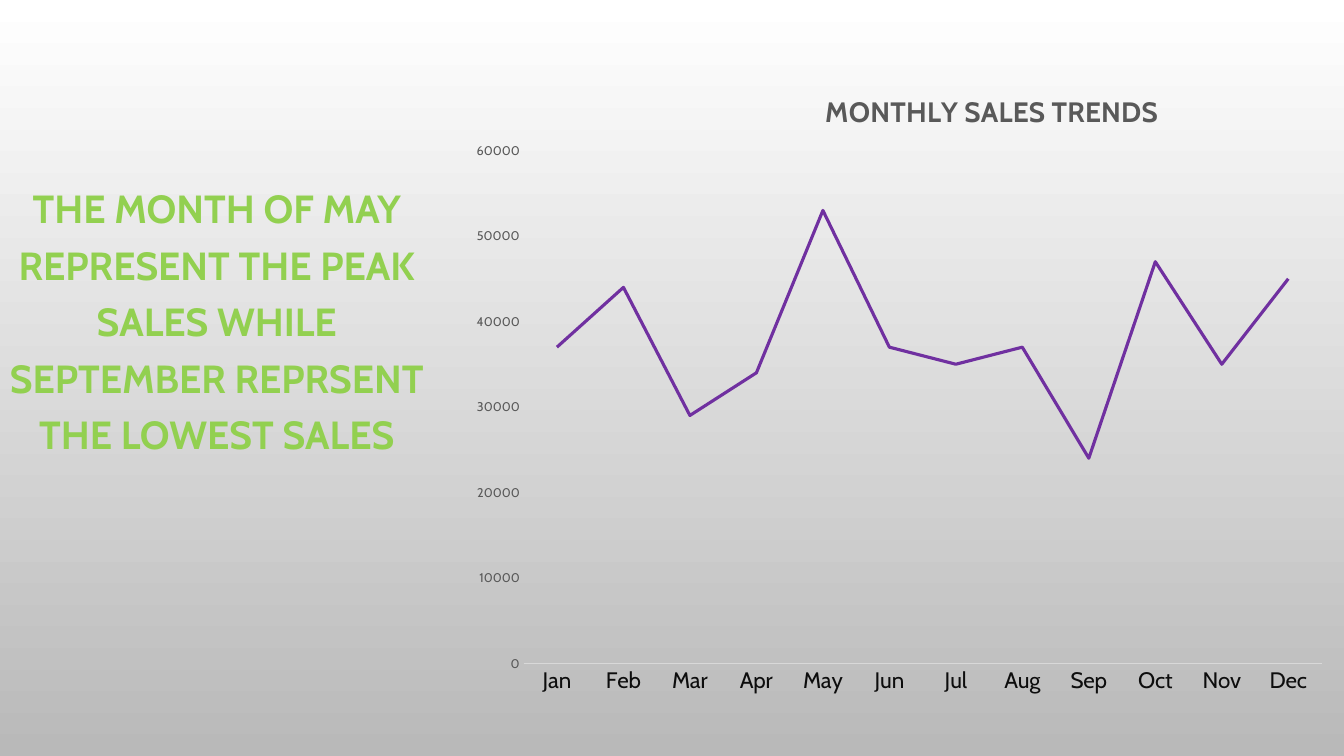
from lxml import etree
from pptx import Presentation, util as u
from pptx.chart.data import CategoryChartData
from pptx.dml.color import RGBColor
from pptx.enum import chart as ch, text
from pptx.oxml import ns

COLORS = {
    "bg_top": "FFFFFF",
    "bg_bottom": "B9B9B9",
    "message": "92D050",
    "grey": "595959",
    "months": "0D0D0D",
    "axis": "D9D9D9",
    "sales": "7030A0",
}
SALES = {
    "Jan": 37000, "Feb": 44000, "Mar": 29000, "Apr": 34000,
    "May": 53000, "Jun": 37000, "Jul": 35000, "Aug": 37000,
    "Sep": 24000, "Oct": 47000, "Nov": 35000, "Dec": 45000,
}


def rgb(name):
    return RGBColor.from_string(COLORS[name])


def set_font(font, size, color, bold=False, name="Cabin"):
    font.name = name
    font.size = u.Pt(size)
    font.bold = bold
    font.color.rgb = rgb(color)


def add_text(tf, content, size, color, bold=False, align=text.PP_ALIGN.CENTER,
             spacing=None):
    p = tf.paragraphs[0]
    p.alignment = align
    if spacing:
        p.line_spacing = spacing
    r = p.add_run()
    r.text = content
    set_font(r.font, size, color, bold)


def place(parent, before, **fractions):
    """Fix a chart part at fractions of the chart's size."""
    for old in parent.findall(ns.qn("c:layout")):
        parent.remove(old)
    layout = etree.Element(ns.qn("c:layout"))
    manual = etree.SubElement(layout, ns.qn("c:manualLayout"))
    if "w" in fractions:
        etree.SubElement(manual, ns.qn("c:layoutTarget"), val="inner")
    for key in ("x", "y"):
        etree.SubElement(manual, ns.qn(f"c:{key}Mode"), val="edge")
    for key, value in fractions.items():
        etree.SubElement(manual, ns.qn(f"c:{key}"), val=str(value))
    parent.insert(before, layout)


class SlideBuilder:
    """Holds the current slide and draws its elements in one style."""

    def __init__(self, prs):
        self.s = prs.slides.add_slide(prs.slide_layouts[6])

    def background(self):
        fill = self.s.background.fill
        fill.gradient()
        fill.gradient_angle = 270
        for stop, position, color in zip(fill.gradient_stops, (0, 1),
                                         ("bg_top", "bg_bottom")):
            stop.position = position
            stop.color.rgb = rgb(color)

    def message(self, content, left, top, width, height):
        box = (u.Cm(v) for v in (left, top, width, height))
        tf = self.s.shapes.add_textbox(*box).text_frame
        tf.word_wrap = True
        tf.margin_left = tf.margin_right = u.Cm(0.2)
        add_text(tf, content, 28, "message", bold=True, spacing=1.2)

    def line_chart(self, title, values, left, top, width, height):
        data = CategoryChartData()
        data.categories = list(values)
        data.add_series("Series 1", list(values.values()))
        box = (u.Cm(v) for v in (left, top, width, height))
        chart = self.s.shapes.add_chart(ch.XL_CHART_TYPE.LINE, *box, data).chart
        set_font(chart.font, 10, "months")
        chart.has_legend = False
        chart.has_title = True
        add_text(chart.chart_title.text_frame, title, 20, "grey", bold=True)
        chart.chart_title.include_in_layout = False
        place(chart.chart_title._element, 1, x=0.41, y=0.03)
        place(chart.plots[0]._element.getparent(), 0,
              x=0.073, y=0.13, w=0.907, h=0.801)

        plot = chart.plots[0]
        plot.vary_by_categories = False
        series = plot.series[0]
        series.smooth = False
        series.marker.style = ch.XL_MARKER_STYLE.NONE
        series.format.line.color.rgb = rgb("sales")
        series.format.line.width = u.Pt(2.25)

        months, amounts = chart.category_axis, chart.value_axis
        for axis, size, color in ((months, 16, "months"), (amounts, 9, "grey")):
            axis.has_major_gridlines = False
            axis.major_tick_mark = axis.minor_tick_mark = ch.XL_TICK_MARK.NONE
            set_font(axis.tick_labels.font, size, color)
        months.format.line.color.rgb = rgb("axis")
        months.format.line.width = u.Pt(0.75)
        amounts.format.line.fill.background()
        amounts.minimum_scale, amounts.maximum_scale = 0, 60000
        amounts.major_unit = 10000
        amounts.tick_labels.number_format = "0"
        amounts.tick_labels.number_format_is_linked = False


def main():
    prs = Presentation()
    prs.slide_width, prs.slide_height = u.Cm(33.87), u.Cm(19.05)
    slide = SlideBuilder(prs)
    slide.background()
    slide.message("THE MONTH OF MAY REPRESENT THE PEAK SALES WHILE "
                  "SEPTEMBER REPRSENT THE LOWEST SALES", 0, 4.29, 10.92, 5.46)
    slide.line_chart("MONTHLY SALES TRENDS", SALES, 11.58, 1.7, 22.17, 16.13)
    prs.save("out.pptx")


if __name__ == "__main__":
    main()
